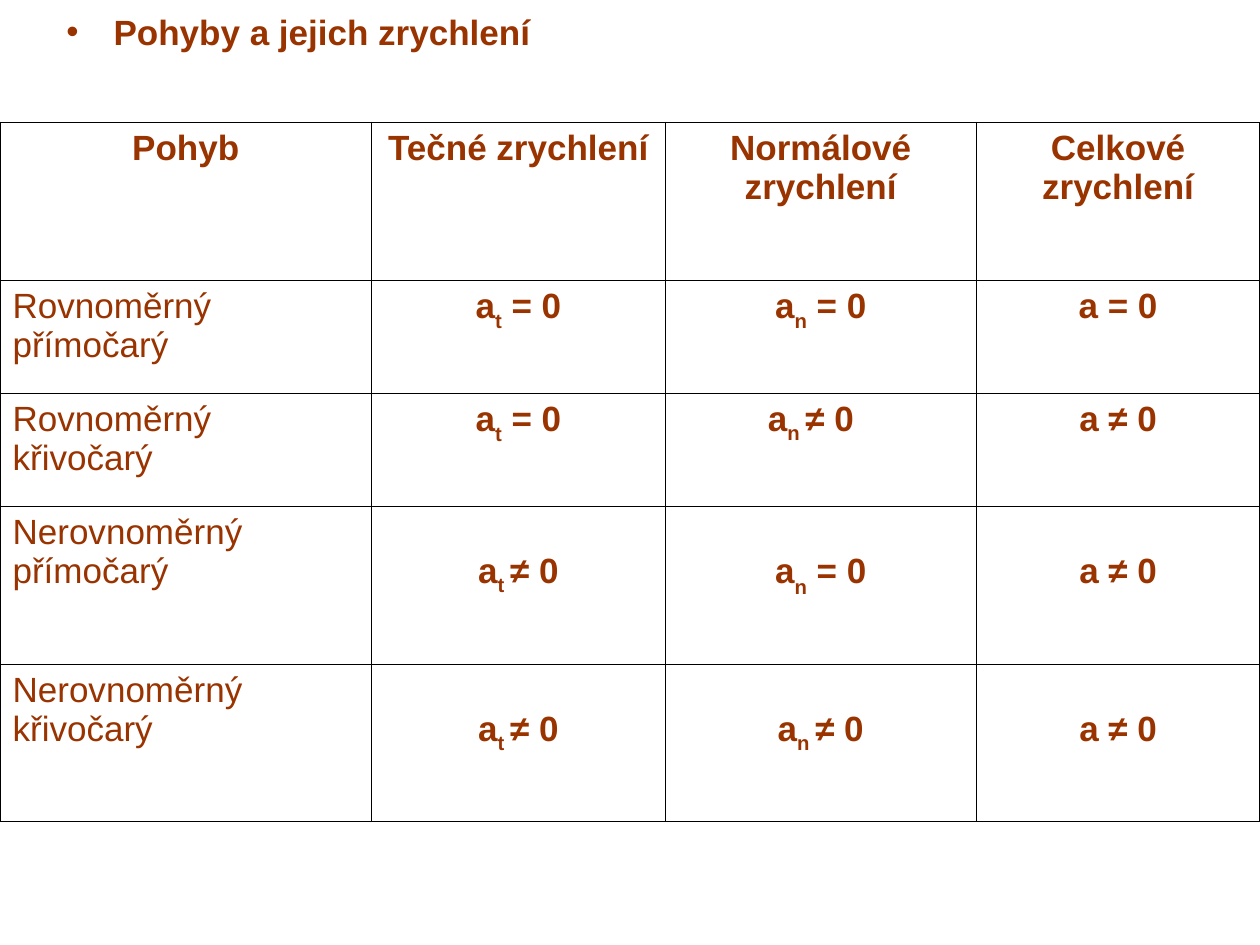
from lxml import etree
from pptx import Presentation
from pptx.dml.color import RGBColor
from pptx.enum.text import MSO_ANCHOR, PP_ALIGN
from pptx.oxml.ns import qn
from pptx.util import Cm, Pt

CENTER, JUSTIFY, TOP = PP_ALIGN.CENTER, PP_ALIGN.JUSTIFY, MSO_ANCHOR.TOP
BROWN = RGBColor(0x99, 0x33, 0x00)
BLACK = RGBColor(0x00, 0x00, 0x00)

COLUMN_WIDTHS = (7.49, 5.92, 6.27, 5.72)
ROW_HEIGHTS = (3.18, 2.28, 2.28, 3.18, 3.18)
HEADINGS = ("Pohyb", "Tečné zrychlení", "Normálové zrychlení", "Celkové zrychlení")
SUBSCRIPTS = ("t", "n", "")
MOTIONS = (
    ("Rovnoměrný\npřímočarý", "==="),
    ("Rovnoměrný křivočarý", "=≠≠"),
    ("Nerovnoměrný přímočarý", "≠=≠"),
    ("Nerovnoměrný křivočarý", "≠≠≠"),
)
LOWERED_ROWS = (3, 4)


def style(paragraph, bold, align=None):
    """Give a paragraph the slide's type."""
    paragraph.alignment = align
    font = paragraph.font
    font.name, font.size, font.bold = "Arial", Pt(20), bold
    font.color.rgb = BROWN


def add_bullet(paragraph):
    """Give a paragraph a hanging round bullet."""
    properties = paragraph._p.get_or_add_pPr()
    properties.set("marL", str(Cm(0.95)))
    properties.set("indent", str(-Cm(0.95)))
    color = etree.SubElement(properties, qn("a:buClr"))
    etree.SubElement(color, qn("a:srgbClr"), val=str(BROWN))
    etree.SubElement(properties, qn("a:buFont"), typeface="Arial")
    etree.SubElement(properties, qn("a:buChar"), char="•")


def add_title(slide, text):
    """Add the bulleted slide title."""
    title = slide.shapes.add_textbox(Cm(1.09), Cm(0), Cm(23.44), Cm(12.57))
    frame = title.text_frame
    frame.word_wrap = True
    frame.margin_top = Cm(0.21)
    frame.text = text
    add_bullet(frame.paragraphs[0])
    style(frame.paragraphs[0], True)


def draw_grid(cell):
    """Clear the cell's fill and rule its four sides."""
    properties = cell._tc.get_or_add_tcPr()
    for side in ("a:lnL", "a:lnR", "a:lnT", "a:lnB"):
        line = etree.SubElement(properties, qn(side), w=str(Pt(0.75)))
        fill = etree.SubElement(line, qn("a:solidFill"))
        etree.SubElement(fill, qn("a:srgbClr"), val=str(BLACK))
    cell.fill.background()
    cell.vertical_anchor = TOP


def write_label(cell, text, bold, align):
    """Write plain words into a cell."""
    cell.text = text
    for paragraph in cell.text_frame.paragraphs:
        style(paragraph, bold, align)


def write_formula(cell, subscript, relation):
    """Write an acceleration compared with zero."""
    paragraph = cell.text_frame.paragraphs[0]
    style(paragraph, True, CENTER)
    if not subscript:
        paragraph.add_run().text = f"a {relation} 0"
        return
    equal = relation == "="
    paragraph.add_run().text = "a"
    index = paragraph.add_run()
    index.text = subscript if equal else subscript + " "
    index.font._element.set("baseline", "-30000" if equal else "-25000")
    paragraph.add_run().text = " = 0" if equal else "≠ 0"


def add_motion_table(slide):
    """Add the table of motions and their accelerations."""
    table = slide.shapes.add_table(
        len(ROW_HEIGHTS), len(COLUMN_WIDTHS), Cm(0), Cm(2.47),
        Cm(sum(COLUMN_WIDTHS)), Cm(sum(ROW_HEIGHTS))).table
    table.first_row = table.horz_banding = False
    for column, width in zip(table.columns, COLUMN_WIDTHS):
        column.width = Cm(width)
    for row, height in zip(table.rows, ROW_HEIGHTS):
        row.height = Cm(height)
    for cell in table.iter_cells():
        draw_grid(cell)
    for column, heading in enumerate(HEADINGS):
        write_label(table.cell(0, column), heading, True, CENTER)
    for row, (motion, relations) in enumerate(MOTIONS, 1):
        write_label(table.cell(row, 0), motion, False, JUSTIFY)
        for column, (subscript, relation) in enumerate(zip(SUBSCRIPTS, relations), 1):
            cell = table.cell(row, column)
            write_formula(cell, subscript, relation)
            if row in LOWERED_ROWS:
                cell.margin_top = Cm(0.92)
    table.cell(2, 2).margin_right = Cm(0.65)


def main():
    """Build and save the slide."""
    presentation = Presentation()
    presentation.slide_width, presentation.slide_height = Cm(25.4), Cm(19.05)
    slide = presentation.slides.add_slide(presentation.slide_layouts[6])
    add_title(slide, "Pohyby a jejich zrychlení")
    add_motion_table(slide)
    presentation.save("out.pptx")


if __name__ == "__main__":
    main()
